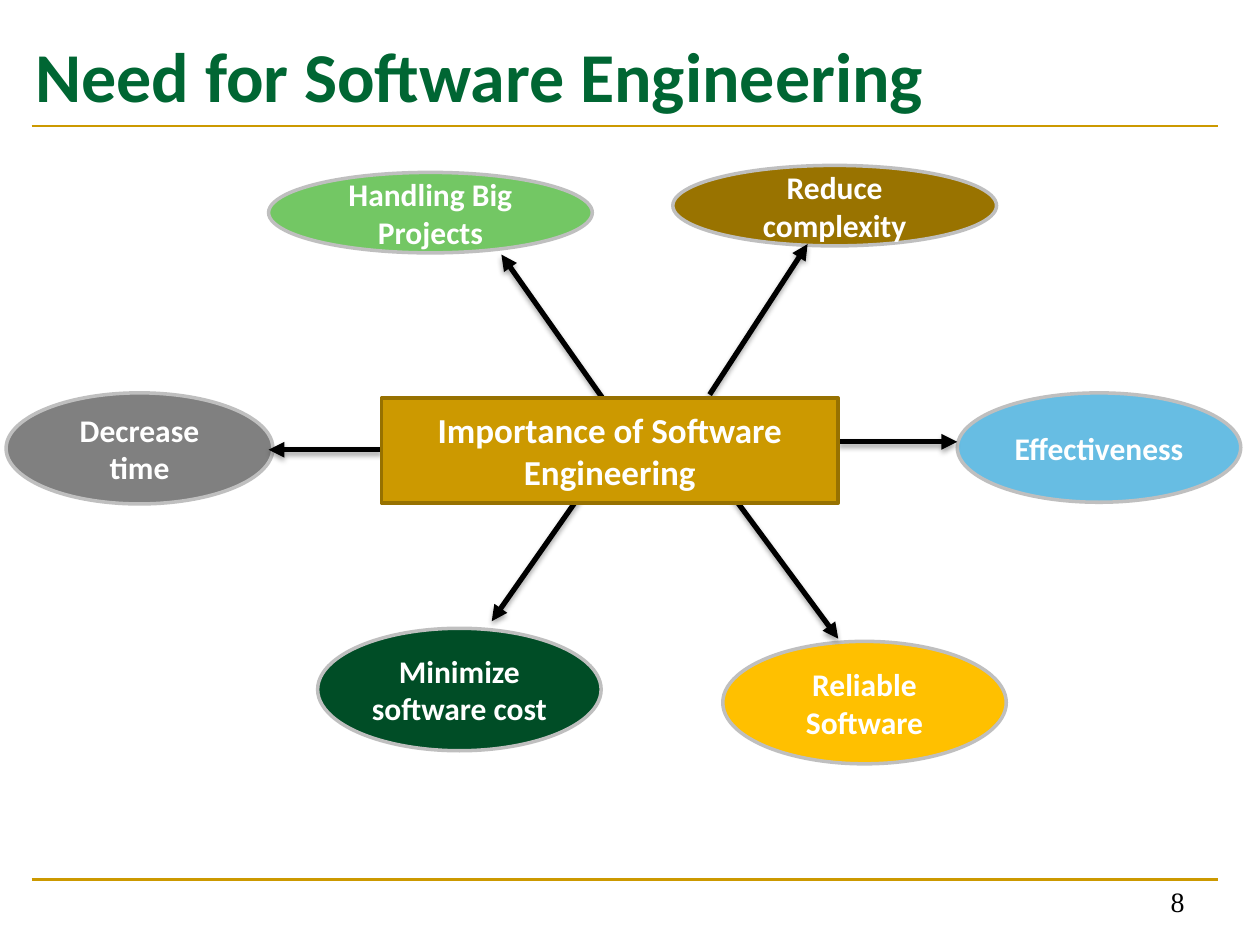
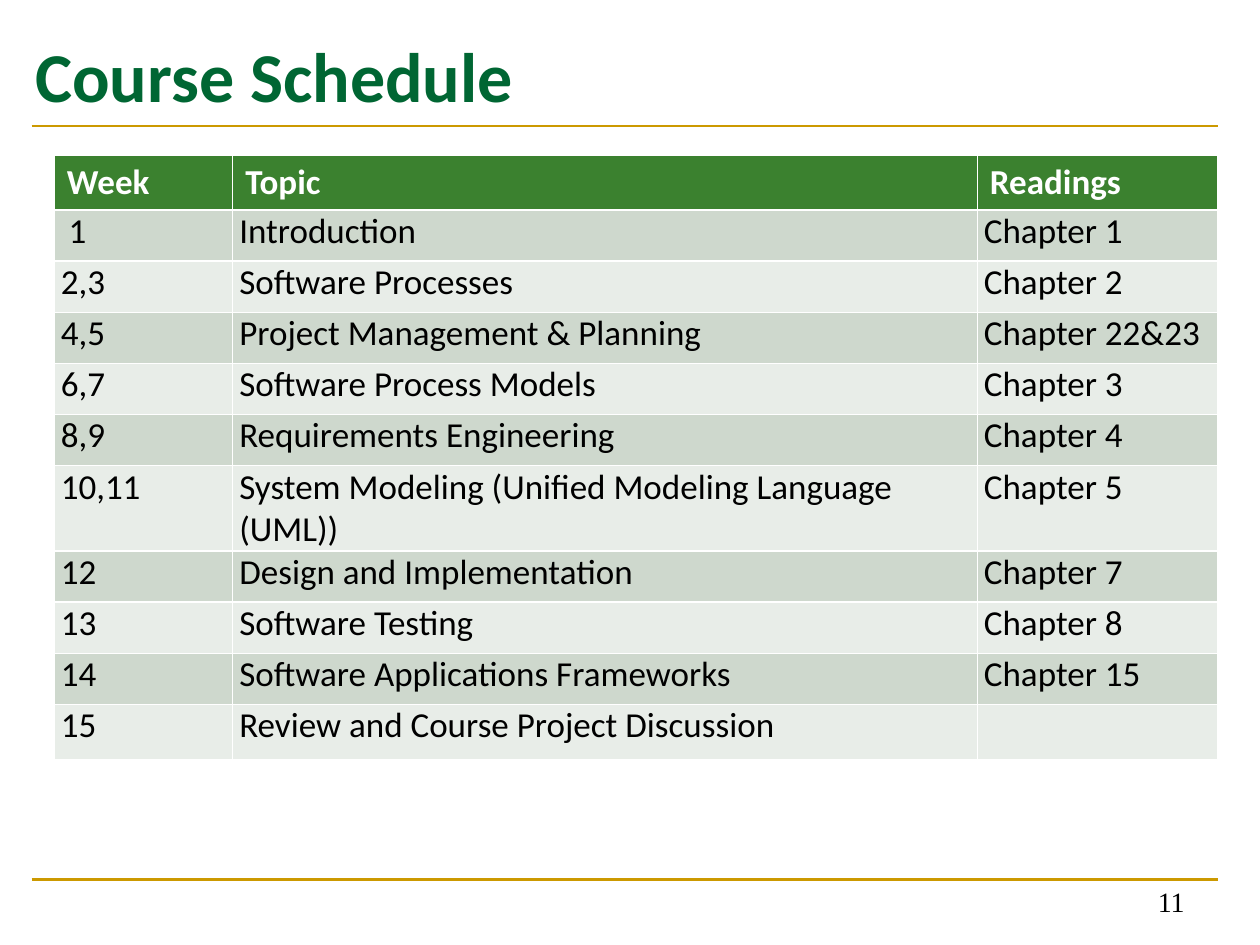
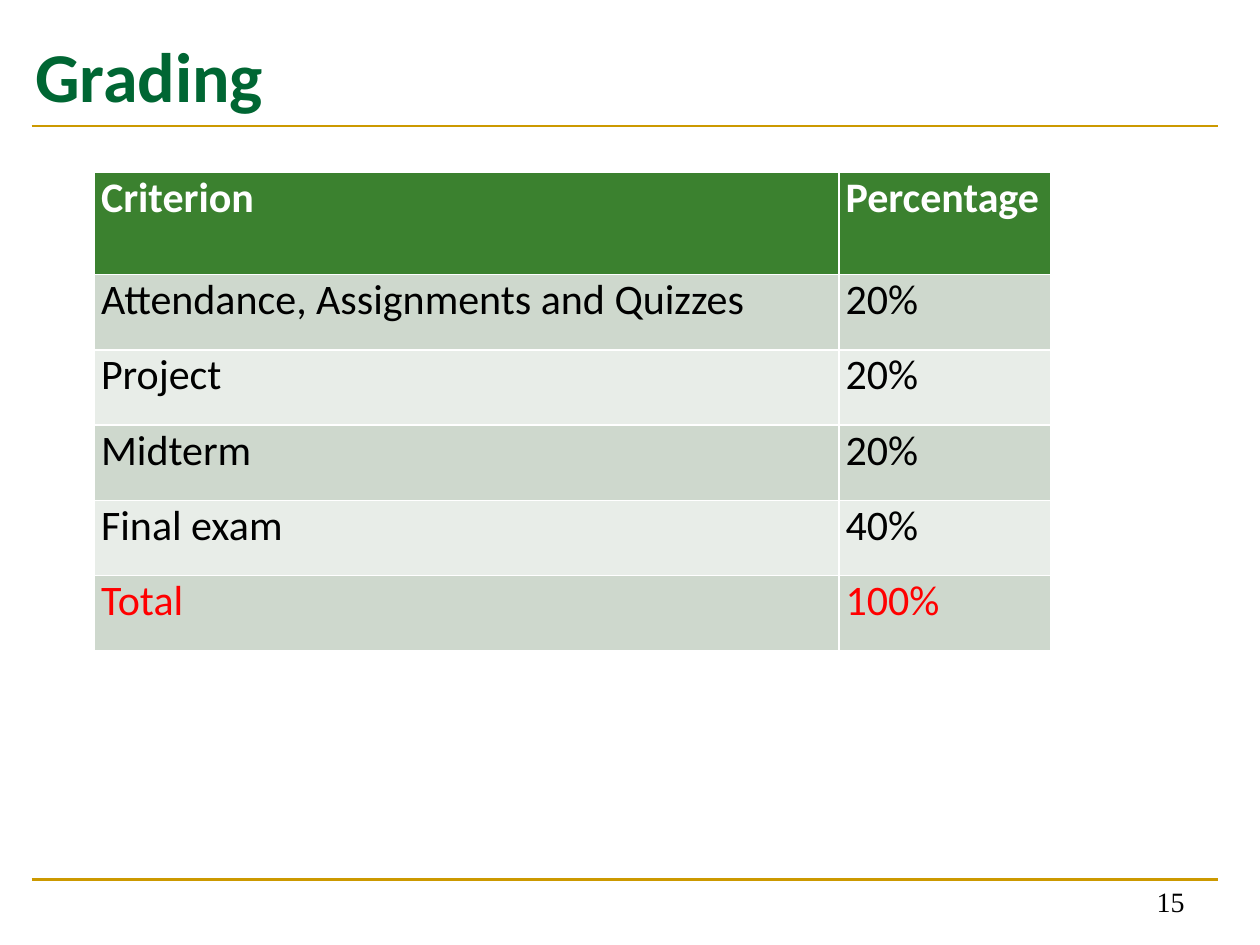
"""Build three software engineering course slides: a diagram and two tables."""
from lxml import etree
from pptx import Presentation
from pptx.dml.color import RGBColor
from pptx.enum.shapes import MSO_CONNECTOR, MSO_SHAPE
from pptx.enum.text import MSO_ANCHOR, PP_ALIGN
from pptx.oxml import parse_xml
from pptx.oxml.ns import nsdecls, qn
from pptx.util import Pt

STRAIGHT = MSO_CONNECTOR.STRAIGHT
OVAL, RECTANGLE = MSO_SHAPE.OVAL, MSO_SHAPE.RECTANGLE
TOP, MIDDLE, BOTTOM = MSO_ANCHOR.TOP, MSO_ANCHOR.MIDDLE, MSO_ANCHOR.BOTTOM
LEFT, CENTER, RIGHT = PP_ALIGN.LEFT, PP_ALIGN.CENTER, PP_ALIGN.RIGHT

COLOURS = {
    "title": "006633", "gold": "CC9900", "gold edge": "977100", "black": "000000",
    "white": "FFFFFF", "red": "FF0000", "edge": "BFBFBF", "light green": "73C764",
    "brown": "997300", "grey": "808080", "dark green": "004D26", "blue": "67BDE3",
    "yellow": "FFC000", "header": "3B812F", "odd row": "CED8CD", "even row": "E8EDE8",
}
COLOURS = {name: RGBColor.from_string(value) for name, value in COLOURS.items()}

TITLE = {"name": "Calibri", "size": Pt(40), "bold": True}
PAGE_NUMBER = {"name": "Times New Roman", "size": Pt(16), "bold": False}
OVAL_LABEL = {"name": "Calibri", "size": Pt(18), "bold": True}
CENTRE_LABEL = {"name": "Calibri", "size": Pt(20), "bold": True}

SHADOW = f"""<a:effectLst {nsdecls('a')}>
<a:outerShdw blurRad="39370" dist="22860" dir="5400000" rotWithShape="0">
<a:srgbClr val="000000"><a:alpha val="35000"/></a:srgbClr></a:outerShdw></a:effectLst>"""


def write(frame, text, style, colour, align=LEFT, anchor=TOP):
    frame.word_wrap = True
    frame.vertical_anchor = anchor
    para = frame.paragraphs[0]
    para.alignment = align
    span = para.add_run()
    span.text = text
    for name, value in style.items():
        setattr(span.font, name, value)
    span.font.color.rgb = COLOURS[colour]


def draw_line(page, ends, colour, width, arrow=False):
    line = page.shapes.add_connector(STRAIGHT, *map(Pt, ends))
    line.line.color.rgb = COLOURS[colour]
    line.line.width = Pt(width)
    properties = line._element.spPr
    if arrow:
        etree.SubElement(line.line._get_or_add_ln(), qn("a:tailEnd"), type="triangle")
        properties.append(parse_xml(SHADOW))
    else:
        etree.SubElement(properties, qn("a:effectLst"))


deck = Presentation()
deck.slide_width, deck.slide_height = Pt(720), Pt(540)

pages = []
for heading, number in [("Need for Software Engineering", "8"),
                        ("Course Schedule", "11"), ("Grading", "15")]:
    page = deck.slides.add_slide(deck.slide_layouts[5])
    title = page.shapes.title
    title.left, title.top, title.width, title.height = map(Pt, (13, 15, 687.5, 84))
    write(title.text_frame, heading, TITLE, "title")
    for y in (72, 502.5):
        draw_line(page, (18, y, 696, y), "gold", 1.5)
    box = page.shapes.add_textbox(*map(Pt, (516, 492, 168, 36)))
    write(box.text_frame, number, PAGE_NUMBER, "black", RIGHT, BOTTOM)
    pages.append(page)
diagram, schedule, grading = pages

ovals = [
    ("Handling Big Projects", "light green", (153.5, 98.5, 185, 46)),
    ("Reduce complexity", "brown", (384.5, 94.5, 185, 46)),
    ("Decrease time", "grey", (3.5, 224.5, 152.5, 63.5)),
    ("Minimize software cost", "dark green", (181.5, 359, 162, 70)),
    ("Effectiveness", "blue", (547, 224.5, 162, 62.5)),
    ("Reliable Software", "yellow", (413, 366.5, 162, 70)),
]
arrows = [
    (479, 252.5, 547, 252.5), (411, 273, 479, 365), (338.5, 273, 281, 355),
    (405.5, 225.5, 461.5, 139.5), (344, 227, 286.5, 145.5), (218, 257, 153.5, 257),
]
centre = ("Importance of Software Engineering", "gold", (218, 227.5, 261, 60))

nodes = [(OVAL, "edge", OVAL_LABEL, *oval) for oval in ovals]
nodes.append((RECTANGLE, "gold edge", CENTRE_LABEL, *centre))
for kind, edge, style, label, fill, bounds in nodes:
    if kind == RECTANGLE:
        for ends in arrows:
            draw_line(diagram, ends, "black", 3, arrow=True)
    node = diagram.shapes.add_shape(kind, *map(Pt, bounds))
    node.shadow.inherit = False
    node.fill.solid()
    node.fill.fore_color.rgb = COLOURS[fill]
    node.line.color.rgb = COLOURS[edge]
    node.line.width = Pt(2)
    write(node.text_frame, label, style, "white", CENTER, MIDDLE)

schedule_rows = [
    ("Week", "Topic", "Readings"),
    ("1", "Introduction", "Chapter 1"),
    ("2,3", "Software Processes", "Chapter 2"),
    ("4,5", "Project Management & Planning", "Chapter 22&23"),
    ("6,7", "Software Process Models", "Chapter 3"),
    ("8,9", "Requirements Engineering", "Chapter 4"),
    ("10,11", "System Modeling (Unified Modeling Language (UML))", "Chapter 5"),
    ("12", "Design and Implementation", "Chapter 7"),
    ("13", "Software Testing", "Chapter 8"),
    ("14", "Software Applications Frameworks", "Chapter 15"),
    ("15", "Review and Course Project Discussion", ""),
]
grading_rows = [
    ("Criterion", "Percentage"),
    ("Attendance, Assignments and Quizzes", "20%"),
    ("Project", "20%"),
    ("Midterm", "20%"),
    ("Final exam", "40%"),
    ("Total", "100%"),
]
schedule_heights = [31.5] + [29.25] * 5 + [48.8] + [29.25] * 3 + [31.5]
grading_heights = [58.5] + [43] * 5

tables = [
    (schedule, schedule_rows, (31, 88.5), (102, 425.5, 137.5), schedule_heights, 20),
    (grading, grading_rows, (54, 98.5), (425.5, 121), grading_heights, 24),
]
for page, rows, corner, widths, heights, size in tables:
    bounds = (*corner, sum(widths), sum(heights))
    table = page.shapes.add_table(len(rows), len(widths), *map(Pt, bounds)).table
    for column, width in zip(table.columns, widths):
        column.width = Pt(width)
    for index, (row, values) in enumerate(zip(table.rows, rows)):
        row.height = Pt(heights[index])
        header = index == 0
        fill = "header" if header else "odd row" if index % 2 else "even row"
        colour = "white" if header else "red" if values[0] == "Total" else "black"
        style = {"name": "Calibri", "size": Pt(size), "bold": header}
        for cell, value in zip(row.cells, values):
            cell.fill.solid()
            cell.fill.fore_color.rgb = COLOURS[fill]
            if page is grading or not header:
                cell.margin_left = cell.margin_right = Pt(3.75)
                cell.margin_top = cell.margin_bottom = Pt(0)
            if value == "1":
                cell.margin_left = Pt(8.25)
            if value:
                write(cell.text_frame, value, style, colour)

deck.save("out.pptx")
